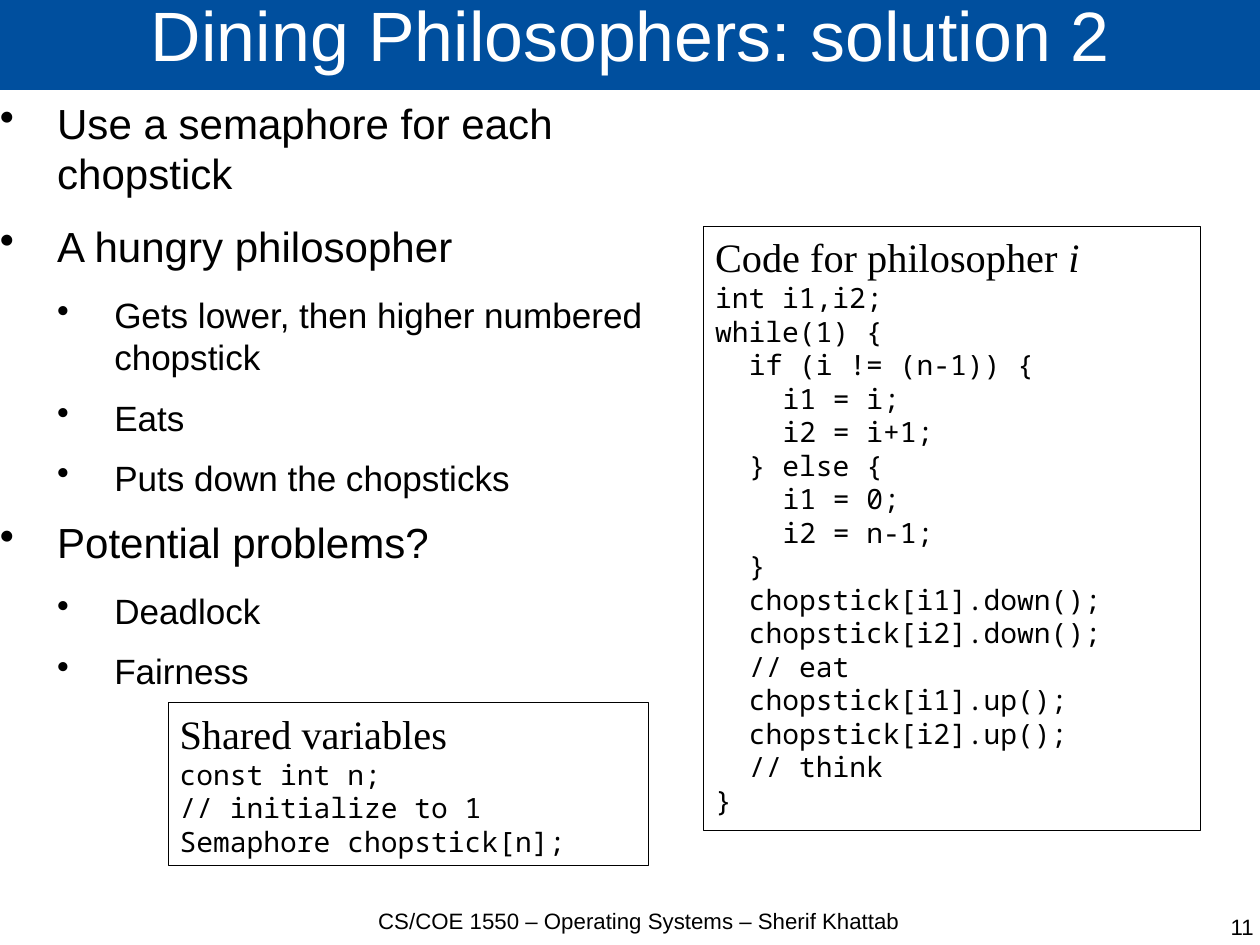
import pptx
import pptx.dml.color
import pptx.enum.shapes
import pptx.enum.text
import pptx.oxml
import pptx.oxml.ns
import pptx.util
from lxml import etree

Cm, Pt = pptx.util.Cm, pptx.util.Pt
RGB = pptx.dml.color.RGBColor
ALIGN = pptx.enum.text.PP_ALIGN
ANCHOR = pptx.enum.text.MSO_ANCHOR

THEME = {
    "blue": RGB(0x00, 0x4F, 0x9E),
    "black": RGB(0, 0, 0),
    "white": RGB(255, 255, 255),
    "title": {"name": "Arial", "size": Pt(44), "bold": False},
    "point": {"name": "Arial", "size": Pt(26.5)},
    "subpoint": {"name": "Arial", "size": Pt(22.1)},
    "footer": {"name": "Arial", "size": Pt(14)},
    "heading": {"name": "Times New Roman", "size": Pt(25.4)},
    "variable": {"name": "Times New Roman", "size": Pt(25.4), "italic": True},
    "code": {"name": "Noto Sans Mono", "size": Pt(17.6)},
}


def add_span(para, text, style, color="black"):
    span = para.add_run()
    span.text = text
    for key, value in THEME[style].items():
        setattr(span.font, key, value)
    span.font.color.rgb = THEME[color]


def set_frame(frame, anchor=ANCHOR.TOP, inset_x=0, inset_y=0):
    values = {
        "word_wrap": True, "auto_size": pptx.enum.text.MSO_AUTO_SIZE.NONE,
        "vertical_anchor": anchor,
        "margin_left": Cm(inset_x), "margin_right": Cm(inset_x),
        "margin_top": Cm(inset_y), "margin_bottom": Cm(inset_y),
    }
    for key, value in values.items():
        setattr(frame, key, value)


deck = pptx.Presentation()
deck.slide_width, deck.slide_height = Cm(28), Cm(21)
page = deck.slides.add_slide(deck.slide_layouts[5])

# Title band
title = page.shapes.title
title.left, title.top, title.width, title.height = Cm(0), Cm(-0.05), Cm(28.04), Cm(2.05)
title.fill.solid()
title.fill.fore_color.rgb = THEME["blue"]
set_frame(title.text_frame, ANCHOR.MIDDLE)
para = title.text_frame.paragraphs[0]
para.alignment = ALIGN.CENTER
para.line_spacing = 0.69
add_span(para, "Dining Philosophers: solution 2", "title", "white")

# Bulleted points: level and text
points = [
    (0, "Use a semaphore for each chopstick"),
    (0, "A hungry philosopher"),
    (1, "Gets lower, then higher numbered chopstick"),
    (1, "Eats"),
    (1, "Puts down the chopsticks"),
    (0, "Potential problems?"),
    (1, "Deadlock"),
    (1, "Fairness"),
]
box = page.shapes.add_textbox(Cm(0), Cm(2.16), Cm(14.4), Cm(18.08))
set_frame(box.text_frame)
for index, (level, text) in enumerate(points):
    para = box.text_frame.paragraphs[0] if index == 0 else box.text_frame.add_paragraph()
    para.level = level
    para.space_after = Pt((14.2, 11.4)[level])
    add_span(para, text, ("point", "subpoint")[level])
    props = para._p.get_or_add_pPr()
    props.set("marL", str(Cm(1.27 * (level + 1))))
    props.set("indent", str(Cm(-1.27)))
    bullet = etree.SubElement(props, pptx.oxml.ns.qn("a:buChar"))
    bullet.set("char", "•")

# Footer and page number
footers = [
    (7.8, 20.17, 12.8, ALIGN.CENTER, "CS/COE 1550 – Operating Systems – Sherif Khattab"),
    (21.44, 20.3, 6.42, ALIGN.RIGHT, "11"),
]
for left, top, width, alignment, text in footers:
    box = page.shapes.add_textbox(Cm(left), Cm(top), Cm(width), Cm(1.4))
    set_frame(box.text_frame)
    para = box.text_frame.paragraphs[0]
    para.alignment = alignment
    add_span(para, text, "footer")

# Code boxes: place, heading spans, then lines as (depth, code)
listings = [
    ((15.64, 5.03, 11.03, 13.42),
     [("Code for philosopher ", "heading"), ("i", "variable")],
     [(0, "int i1,i2;"), (0, "while(1) {"),
      (1, "if (i != (n-1)) {"), (2, "i1 = i;"), (2, "i2 = i+1;"),
      (1, "} else {"), (2, "i1 = 0;"), (2, "i2 = n-1;"), (1, "}"),
      (1, "chopstick[i1].down();"), (1, "chopstick[i2].down();"), (1, "// eat"),
      (1, "chopstick[i1].up();"), (1, "chopstick[i2].up();"), (1, "// think"),
      (0, "}")]),
    ((3.74, 15.62, 10.67, 3.62),
     [("Shared variables", "heading")],
     [(0, "const int n;"), (0, "// initialize to 1"), (0, "Semaphore chopstick[n];")]),
]
for place, heading, lines in listings:
    box = page.shapes.add_shape(
        pptx.enum.shapes.MSO_SHAPE.RECTANGLE, *[Cm(length) for length in place])
    box.shadow.inherit = False
    box.fill.background()
    box.line.color.rgb = THEME["black"]
    box.line.width = Pt(0.5)
    set_frame(box.text_frame, inset_x=0.25, inset_y=0.13)
    para = box.text_frame.paragraphs[0]
    para.alignment = ALIGN.LEFT
    for text, style in heading:
        add_span(para, text, style)
    for depth, code in lines:
        para = box.text_frame.add_paragraph()
        para.alignment = ALIGN.LEFT
        para._p.get_or_add_pPr().set("marL", str(Cm(0.75 * depth)))
        add_span(para, code, "code")

deck.save("out.pptx")
